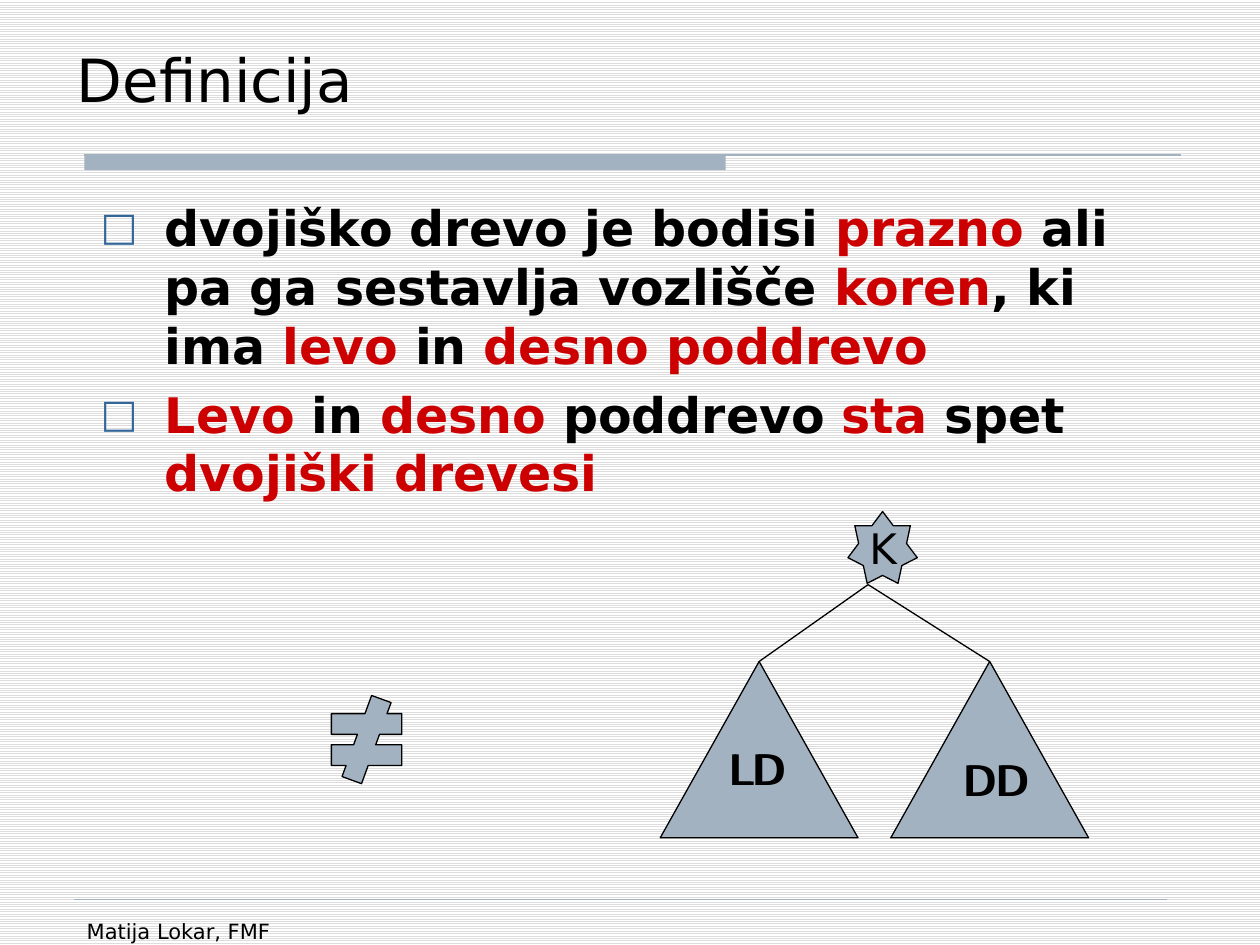
from lxml import etree
from pptx import Presentation
from pptx.dml.color import RGBColor
from pptx.enum.dml import MSO_PATTERN
from pptx.enum.shapes import MSO_CONNECTOR, MSO_SHAPE
from pptx.enum.text import MSO_ANCHOR, PP_ALIGN
from pptx.oxml.ns import qn
from pptx.util import Inches, Pt

FONT = "DejaVu Sans"
COLORS = {
    "text": "000000",
    "key": "CC0000",
    "steel": "A3B2C1",
    "bullet": "336699",
    "stripe": "DDDDDD",
    "paper": "FFFFFF",
}
DEFINITION = [
    [("dvojiško drevo je bodisi ", "text"), ("prazno ", "key"),
     ("ali pa ga sestavlja vozlišče ", "text"), ("koren", "key"),
     (", ki ima ", "text"), ("levo", "key"), (" in ", "text"),
     ("desno poddrevo", "key")],
    [("Levo", "key"), (" in ", "text"), ("desno", "key"),
     (" poddrevo ", "text"), ("sta", "key"), (" spet ", "text"),
     ("dvojiški drevesi", "key")],
]


def rgb(name):
    return RGBColor.from_string(COLORS[name])


def inches(*lengths):
    return [Inches(length) for length in lengths]


def add_run(paragraph, text, size=12, color="text", bold=False):
    run = paragraph.add_run()
    run.text = text
    run.font.name = FONT
    run.font.size = Pt(size)
    run.font.bold = bold
    run.font.color.rgb = rgb(color)


def add_text(shapes, box, text, align=PP_ALIGN.LEFT, **style):
    frame = shapes.add_textbox(*inches(*box)).text_frame
    frame.word_wrap = True
    paragraph = frame.paragraphs[0]
    paragraph.alignment = align
    add_run(paragraph, text, **style)


def add_figure(shapes, preset, box, outlined=True):
    figure = shapes.add_shape(preset, *inches(*box))
    figure.shadow.inherit = False
    figure.fill.solid()
    figure.fill.fore_color.rgb = rgb("steel")
    if outlined:
        figure.line.color.rgb = rgb("text")
        figure.line.width = Pt(0.75)
    else:
        figure.line.fill.background()


def add_line(shapes, start, end, color="text", width=0.75):
    line = shapes.add_connector(MSO_CONNECTOR.STRAIGHT, *inches(*start, *end))
    line.line.color.rgb = rgb(color)
    line.line.width = Pt(width)
    etree.SubElement(line._element.spPr, qn("a:effectLst"))


def set_bullet(paragraph, char, indent):
    props = paragraph._p.get_or_add_pPr()
    props.set("marL", str(Inches(indent)))
    props.set("indent", str(-Inches(indent)))
    color = etree.SubElement(props, qn("a:buClr"))
    etree.SubElement(color, qn("a:srgbClr"), val=COLORS["bullet"])
    etree.SubElement(props, qn("a:buSzPct"), val="80000")
    etree.SubElement(props, qn("a:buFont"), typeface=FONT)
    etree.SubElement(props, qn("a:buChar"), char=char)


def set_background(slide):
    fill = slide.background.fill
    fill.patterned()
    fill.pattern = MSO_PATTERN.LIGHT_HORIZONTAL
    fill.fore_color.rgb = rgb("stripe")
    fill.back_color.rgb = rgb("paper")


def set_title(slide, text):
    title = slide.shapes.title
    title.left, title.top, title.width, title.height = inches(0.51, 0.21, 8.75, 0.75)
    frame = title.text_frame
    frame.vertical_anchor = MSO_ANCHOR.BOTTOM
    frame.paragraphs[0].alignment = PP_ALIGN.LEFT
    add_run(frame.paragraphs[0], text, size=34)


def add_definition(shapes):
    frame = shapes.add_textbox(*inches(0.7, 1.52, 8.75, 5.51)).text_frame
    frame.word_wrap = True
    for index, parts in enumerate(DEFINITION):
        paragraph = frame.add_paragraph() if index else frame.paragraphs[0]
        paragraph.space_before = Pt(5.6)
        set_bullet(paragraph, "□", 0.51)
        for text, color in parts:
            add_run(paragraph, text, size=28, color=color, bold=True)


def add_tree(shapes):
    tree = shapes.add_group_shape().shapes
    label = {"size": 24, "align": PP_ALIGN.CENTER}
    root_foot = (6.89, 4.64)
    subtrees = [("LD", 5.24, 5.68, 5.85, 0.68), ("DD", 7.07, 7.52, 5.94, 0.79)]
    add_figure(tree, MSO_SHAPE.STAR_7_POINT, (6.73, 4.06, 0.55, 0.57))
    for text, left, label_left, label_top, label_width in subtrees:
        add_figure(tree, MSO_SHAPE.FLOWCHART_EXTRACT, (left, 5.25, 1.57, 1.4))
        add_line(tree, root_foot, (left + 0.785, 5.25))
        for shift in (0, 0.02):
            add_text(tree, (label_left - shift, label_top, label_width, 0.5), text, **label)
    add_text(tree, (6.67, 4.1, 0.68, 0.5), "K", **label)


def main():
    deck = Presentation()
    deck.slide_width, deck.slide_height = inches(10, 7.5)
    slide = deck.slides.add_slide(deck.slide_layouts[5])
    shapes = slide.shapes
    set_background(slide)
    add_figure(shapes, MSO_SHAPE.RECTANGLE, (0.67, 1.23, 5.09, 0.12), outlined=False)
    add_line(shapes, (0.67, 1.23), (9.37, 1.23), color="steel")
    add_line(shapes, (0.59, 7.14), (9.26, 7.14), color="steel", width=0.25)
    add_text(shapes, (0.59, 7.24, 2.17, 0.52), "Matija Lokar, FMF")
    set_title(slide, "Definicija")
    add_definition(shapes)
    add_figure(shapes, MSO_SHAPE.MATH_NOT_EQUAL, (2.53, 5.52, 0.76, 0.7))
    add_tree(shapes)
    deck.save("out.pptx")


main()
